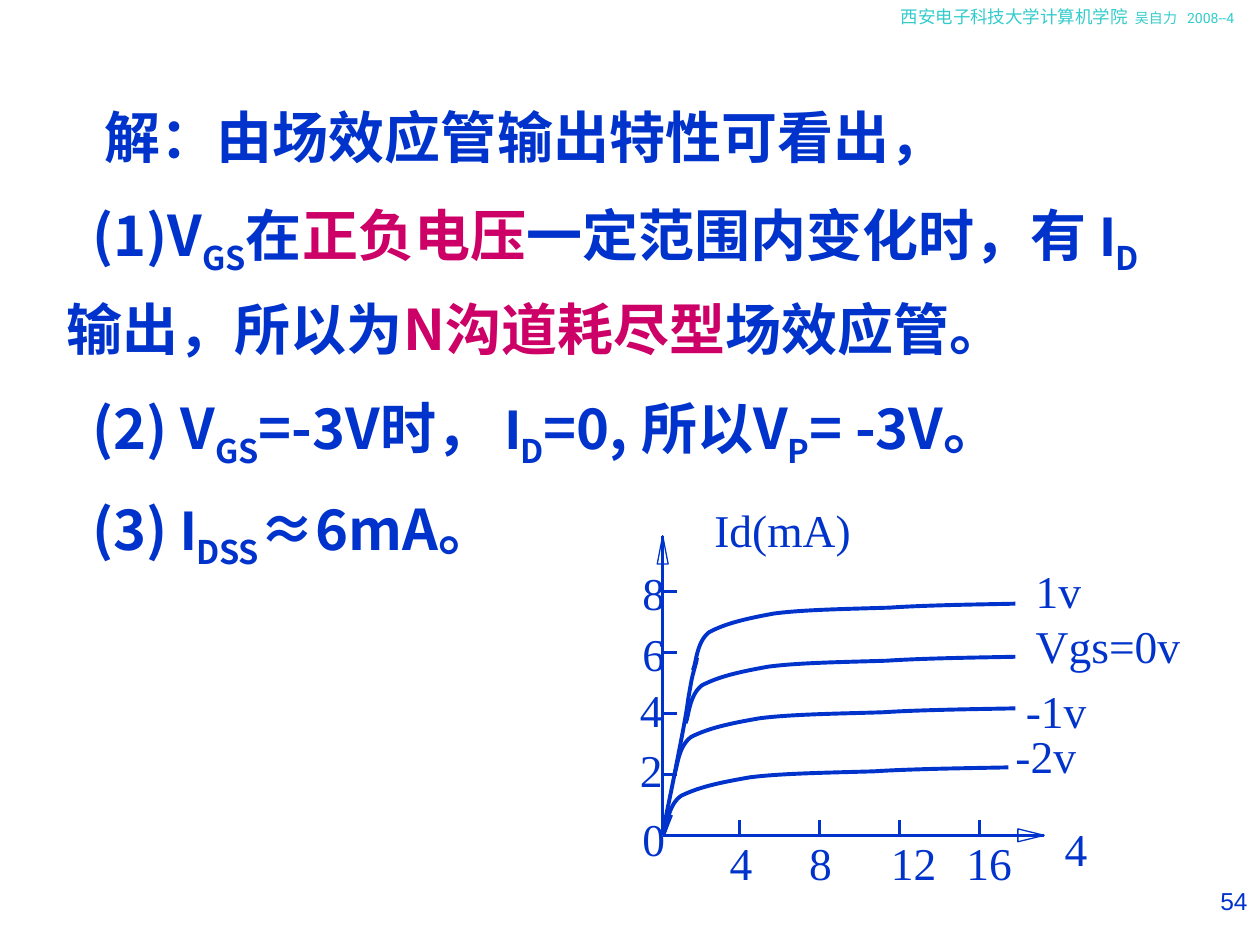
from lxml import etree
from pptx import Presentation
from pptx.dml.color import RGBColor
from pptx.enum.shapes import MSO_CONNECTOR
from pptx.enum.text import MSO_ANCHOR, MSO_AUTO_SIZE, PP_ALIGN
from pptx.oxml.ns import qn
from pptx.util import Cm, Pt

STRAIGHT = MSO_CONNECTOR.STRAIGHT
TOP, RIGHT, LEFT = MSO_ANCHOR.TOP, PP_ALIGN.RIGHT, PP_ALIGN.LEFT
NOFIT = MSO_AUTO_SIZE.NONE
BLUE = RGBColor(0x00, 0x33, 0xCC)
PINK = RGBColor(0xCC, 0x00, 0x66)
TEAL = RGBColor(0x33, 0xCC, 0xCC)
HAN, SANS, SERIF = "Noto Sans CJK SC", "Arial", "Times New Roman"

SUB = {"base": -25000}
MARK = {"color": PINK}
IOTA = ("Ι", {"font": SANS})
LINES = [
    (0.77, 1, [("解：由场效应管输出特性可看出，", {})]),
    (0.52, 0.9, [("(1)V", {}), ("GS", SUB), ("在", {}), ("正负电压", MARK),
                 ("一定范围内变化时，有 ", {}), IOTA, ("D", SUB)]),
    (0, 0.9, [("输出，所以为", {}), ("N沟道耗尽型", MARK), ("场效应管。", {})]),
    (0.52, 0.9, [("(2) V", {}), ("GS", SUB), ("=-3V时， ", {}), IOTA, ("D", SUB),
                 ("=0, 所以V", {}), ("P", SUB), ("= -3V。", {})]),
    (0.52, 0.9, [("(3) ", {}), IOTA, ("DSS", SUB), ("≈6mA。", {})]),
]
LABELS = [
    ("4", 1.35, 0), ("8", 2.95, 0), ("12", 4.6, 0), ("16", 6.12, 0),
    ("0", -0.41, -0.48), ("2", -0.46, -1.88), ("4", -0.46, -3.1),
    ("6", -0.41, -4.22), ("8", -0.41, -5.44), ("Id(mA)", 1.04, -6.71),
    ("1v", 7.52, -5.49), ("Vgs=0v", 7.52, -4.39), ("-1v", 7.32, -3.07),
    ("-2v", 7.11, -2.16), ("4", 8.1, -0.28),
]
BEND = [(0, 0), (0.01, 0.09), (0.01, 0.42), (0.05, 0.57), (0.1, 0.7),
        (0.16, 0.77), (0.25, 0.85), (0.34, 0.91), (0.48, 0.92),
        (0.61, 0.94), (0.73, 0.98), (0.92, 0.99), (1, 1)]
STARTS = [(0.02, 0.03, 6.95), (0.23, 1.22, 6.88),
          (0.46, 2.26, 6.65), (0.61, 3.33, 6.5)]
RISE = [(0.69, 3.58), (0.69, 3.51), (0.61, 3.28), (0.58, 3.12), (0.56, 3),
        (0.56, 3.02), (0.51, 2.72), (0.48, 2.46), (0.36, 1.85),
        (0.28, 1.45), (0.2, 1.02), (0.08, 0.46), (0.03, 0.2)]


def write(para, text, font=HAN, size=32, color=BLUE, bold=False, base=0):
    """Add a formatted run to a paragraph."""
    run = para.add_run()
    run.text = text
    run.font.name, run.font.size, run.font.bold = font, Pt(size), bold
    run.font.color.rgb = color
    props = run.font._element
    etree.SubElement(props, qn("a:ea")).set("typeface", HAN)
    if base:
        props.set("baseline", str(base))


def label(slide, box, parts, pad=(0, 0), align=LEFT, wrap=False):
    """Place a text box holding one paragraph of runs."""
    frame = slide.shapes.add_textbox(*map(Cm, box)).text_frame
    frame.margin_left = frame.margin_right = Cm(pad[0])
    frame.margin_top = frame.margin_bottom = Cm(pad[1])
    frame.word_wrap = wrap
    para = frame.paragraphs[0]
    para.alignment = align
    for text, look in parts:
        write(para, text, **look)
    return para


def line(slide, start, end):
    """Draw a straight blue line."""
    link = slide.shapes.add_connector(STRAIGHT, *map(Cm, start + end))
    link.line.color.rgb, link.line.width = BLUE, Pt(1.5)
    etree.SubElement(link._element.spPr, qn("a:effectLst"))


def outline(slide, points, width, close=False):
    """Draw an unfilled outline through points given in cm."""
    spots = [(Cm(x), Cm(y)) for x, y in points]
    pen = slide.shapes.build_freeform(*spots[0])
    pen.add_line_segments(spots[1:], close=close)
    shape = pen.convert_to_shape()
    shape.shadow.inherit = False
    shape.fill.background()
    shape.line.color.rgb, shape.line.width = BLUE, Pt(width)
    return shape


def curve(slide, knots):
    """Draw a chain of cubic curves through every third knot."""
    shape = outline(slide, knots, 2.25)
    route = next(shape._element.iter(qn("a:path")))
    legs = route.findall(qn("a:lnTo"))
    for i in range(0, len(legs), 3):
        bend = etree.SubElement(route, qn("a:cubicBezTo"))
        for leg in legs[i:i + 3]:
            bend.append(leg[0])
            route.remove(leg)


def header(slide, box):
    """Place the header line with its tab stops."""
    small = {"font": "Roboto", "size": 8, "color": TEAL}
    para = label(slide, box, [
        ("西安电子科技大学计算机学院\t", {**small, "size": 10}),
        ("吴自力\t2008--4", small),
    ], pad=(0.25, 0.13), wrap=True)
    para.space_before = Pt(5)
    stops = etree.SubElement(para._p.get_or_add_pPr(), qn("a:tabLst"))
    for stop in (4.72, 5.77):
        etree.SubElement(stops, qn("a:tab"), pos=str(Cm(stop)), algn="l")


def answer(slide, box):
    """Fill the body placeholder with the worked answer."""
    body = slide.placeholders[1]
    body.left, body.top, body.width, body.height = map(Cm, box)
    frame = body.text_frame
    frame.auto_size, frame.vertical_anchor, frame.word_wrap = NOFIT, TOP, True
    for i, (inset, pitch, parts) in enumerate(LINES):
        para = frame.paragraphs[0] if i == 0 else frame.add_paragraph()
        para.line_spacing, para.space_before = pitch, Pt(18.3 if i else 0)
        props = para._p.get_or_add_pPr()
        props.set("marL", str(Cm(inset)))
        props.set("indent", "0")
        etree.SubElement(props, qn("a:buNone"))
        for text, look in parts:
            write(para, text, bold=True, **look)


def graph(slide, box):
    """Draw the output curves with axes, ticks and labels."""
    left, top, wide, high = box
    right, foot = left + wide, top + high
    line(slide, (left, foot), (left, top))
    line(slide, (left, foot), (right, foot))
    outline(slide, [(left, top), (left + 0.11, top + 0.57),
                    (left - 0.11, top + 0.57)], 0.75, True)
    outline(slide, [(right, foot), (right - 0.53, foot + 0.13),
                    (right - 0.53, foot - 0.13)], 0.75, True)
    for i in range(4):
        y = foot - 1.23 * (i + 1)
        x = left + 1.55 + 1.61 * i
        line(slide, (left, y), (left + 0.28, y))
        line(slide, (x, foot), (x, foot - 0.31))
    for text, x, y in LABELS:
        label(slide, (left + x, foot + y, 0.49 * len(text), 1.09),
              [(text, {"font": SERIF, "size": 26})])
    line(slide, (left + 0.18, foot - 0.41), (left + 0.05, foot - 0.08))
    curves = [[(x + w * u, y + 1.34 * v) for u, v in BEND] for x, y, w in STARTS]
    for knots in curves + [RISE]:
        curve(slide, [(left + x, foot - y) for x, y in knots])


def number(slide, box):
    """Place the page number."""
    label(slide, box, [("54", {"font": SANS, "size": 14})],
          pad=(0.25, 0.13), align=RIGHT, wrap=True)


def main():
    """Build and save the slide."""
    deck = Presentation()
    deck.slide_width, deck.slide_height = Cm(25.4), Cm(19.05)
    slide = deck.slides.add_slide(deck.slide_layouts[1])
    title = slide.shapes.title._element
    title.getparent().remove(title)
    header(slide, (17.91, 0, 7.49, 1.02))
    answer(slide, (1.09, 1.93, 23.22, 10.21))
    graph(slide, (13.36, 10.8, 7.69, 6.04))
    number(slide, (19.05, 17.73, 6.35, 1.32))
    deck.save("out.pptx")


if __name__ == "__main__":
    main()
